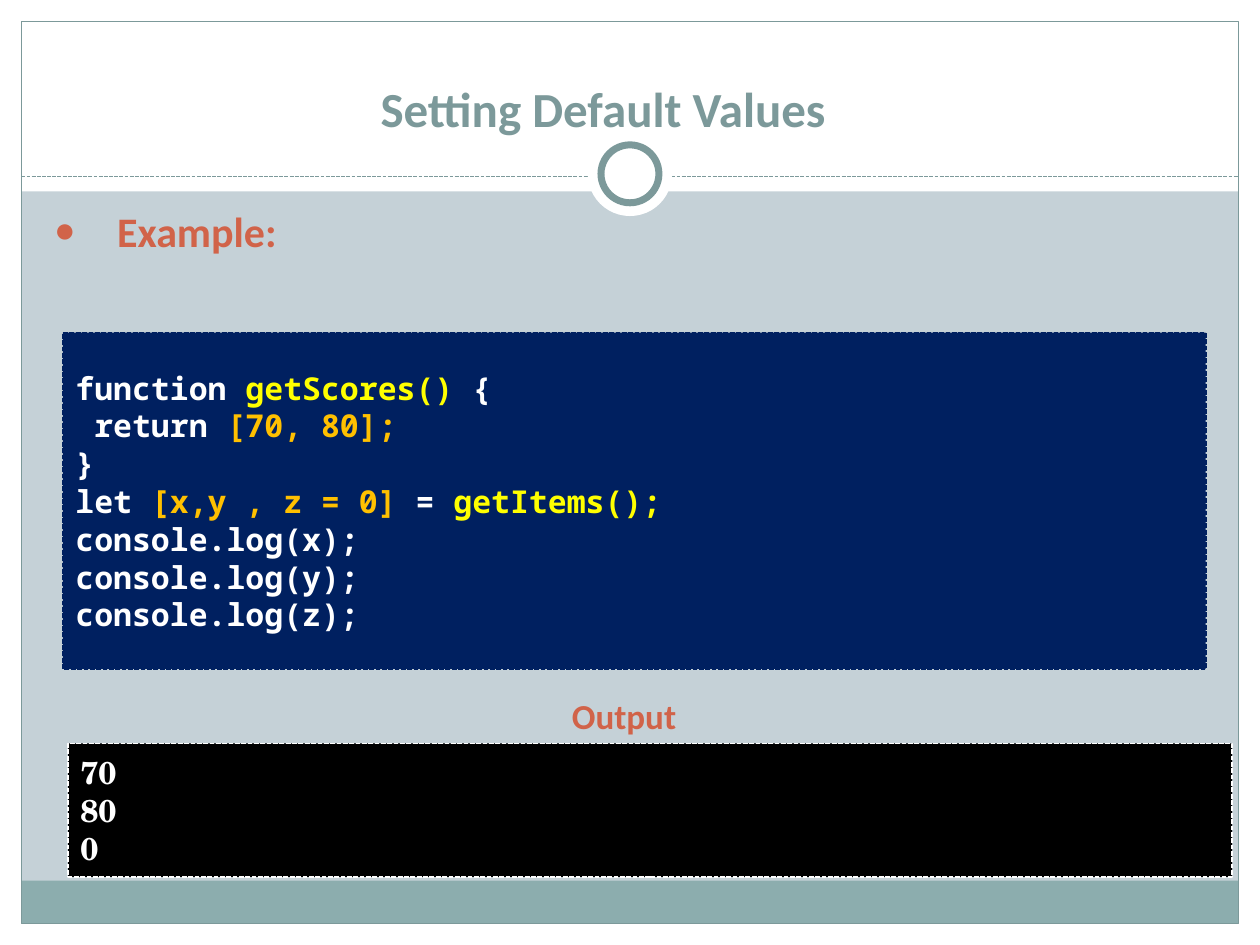
import pptx
import pptx.util
import pptx.dml.color
import pptx.enum.dml
import pptx.enum.shapes
import pptx.enum.text
import pptx.oxml
import pptx.oxml.ns
from lxml import etree

Inches, Pt = pptx.util.Inches, pptx.util.Pt
RGB = pptx.dml.color.RGBColor.from_string
KIND = pptx.enum.shapes.MSO_SHAPE
ALIGN = pptx.enum.text.PP_ALIGN
ANCHOR = pptx.enum.text.MSO_ANCHOR
FIT = pptx.enum.text.MSO_AUTO_SIZE
DASH = pptx.enum.dml.MSO_LINE.SQUARE_DOT
qn = pptx.oxml.ns.qn

# Content: each line is a list of (text, colour name)
TITLE = [[("Setting Default Values", "trim")]]
LEAD = [[("Example:", "accent")]]
CODE = [
    [("function ", "white"), ("getScores()", "yellow"), (" {", "white")],
    [(" return ", "white"), ("[70, 80];", "gold")],
    [("}", "white")],
    [("let ", "white"), ("[x,y , z = 0] ", "gold"), ("= ", "white"),
     ("getItems();", "yellow")],
    *[[(f"console.log({name});", "white")] for name in "xyz"],
]
LABEL = [[("Output", "accent")]]
RESULT = [[(value, "white")] for value in ("70", "80", "0")]

THEME = {
    "color": {"back": "C5D1D7", "trim": "7C999A", "foot": "8CADAE",
              "accent": "D16349", "navy": "002060", "black": "000000",
              "white": "FFFFFF", "yellow": "FFFF00", "gold": "FFC000"},
    "size": {"title": 28, "lead": 24, "label": 20, "code": 18},
    "font": {"main": "Calibri", "code": "Noto Sans Mono",
             "result": "TeX Gyre Schola"},
}
WIDE, HIGH, EDGE = 10, 7.5, 0.17
HEAD = 1.52


def tint(name):
    return RGB(THEME["color"][name])


def place(shape, left, top, width, height):
    shape.left, shape.top = Inches(left), Inches(top)
    shape.width, shape.height = Inches(width), Inches(height)


def write(shape, lines, size="code", font="main", align=ALIGN.LEFT,
          anchor=ANCHOR.TOP, wrap=True, fit=FIT.NONE, bullet=False):
    frame = shape.text_frame
    frame.word_wrap, frame.auto_size = wrap, fit
    frame.vertical_anchor = anchor
    for i, line in enumerate(lines):
        para = frame.add_paragraph() if i else frame.paragraphs[0]
        if bullet:
            mark(para)
        para.alignment, para.space_before = align, Pt(0)
        for text, color in line:
            run = para.add_run()
            run.text = text
            run.font.name = THEME["font"][font]
            run.font.size = Pt(THEME["size"][size])
            run.font.bold = True
            run.font.color.rgb = tint(color)


def mark(para):
    """Give a paragraph a hanging round bullet."""
    props = para._p.get_or_add_pPr()
    props.set("marL", str(Inches(0.5)))
    props.set("indent", str(Inches(-0.5)))
    color = etree.SubElement(props, qn("a:buClr"))
    etree.SubElement(color, qn("a:srgbClr"), val=THEME["color"]["accent"])
    etree.SubElement(props, qn("a:buSzPct"), val="85000")
    etree.SubElement(props, qn("a:buChar"), char="●")


def draw(shapes, box, fill=None, line=None, width=0.75, dash=None,
         kind=KIND.RECTANGLE):
    shape = shapes.add_shape(kind, *map(Inches, box))
    shape.shadow.inherit = False
    if fill:
        shape.fill.solid()
        shape.fill.fore_color.rgb = tint(fill)
    else:
        shape.fill.background()
    if line:
        shape.line.color.rgb = tint(line)
        shape.line.width = Pt(width)
        if dash:
            shape.line.dash_style = dash
    else:
        shape.line.fill.background()
    return shape


def disc(shapes, size, **style):
    """Draw a circle centred on the middle of the header rule."""
    box = ((WIDE - size) / 2, 1.38 - size / 2, size, size)
    draw(shapes, box, fill="white", kind=KIND.OVAL, **style)


def frame_page(shapes):
    # White margins and header
    for box in ((0, HIGH - EDGE, WIDE, EDGE), (0, 0, WIDE, HEAD),
                (0, 0, EDGE, HIGH), (WIDE - EDGE, 0, EDGE, HIGH)):
        draw(shapes, box, fill="white")
    # Footer band and border
    inner = WIDE - 2 * EDGE
    draw(shapes, (EDGE, 6.99, inner, 0.34), fill="foot")
    draw(shapes, (EDGE, EDGE, inner, HIGH - 2 * EDGE), line="trim")
    # Header rule
    rule = shapes.add_connector(
        pptx.enum.shapes.MSO_CONNECTOR.STRAIGHT,
        *map(Inches, (EDGE, 1.4, WIDE - EDGE, 1.4)))
    rule.line.color.rgb = tint("trim")
    rule.line.width = Pt(0.75)
    rule.line.dash_style = DASH
    etree.SubElement(rule.element.spPr, qn("a:effectLst"))
    # Ring on the rule
    disc(shapes, 0.67)
    disc(shapes, 0.46, line="trim", width=4)


def main():
    deck = pptx.Presentation()
    deck.slide_width, deck.slide_height = Inches(WIDE), Inches(HIGH)
    slide = deck.slides.add_slide(deck.slide_layouts[1])
    shapes = slide.shapes
    slide.background.fill.solid()
    slide.background.fill.fore_color.rgb = tint("back")
    frame_page(shapes)

    # Title and lead, raised above the page frame
    title, body = shapes.title, slide.placeholders[1]
    for holder in (title, body):
        holder.element.getparent().append(holder.element)
    place(title, 0.12, 0.31, 9.33, 0.83)
    write(title, TITLE, size="title", align=ALIGN.CENTER,
          anchor=ANCHOR.BOTTOM)
    place(body, 0.33, 1.58, 9.3, 5.31)
    write(body, LEAD, size="lead", bullet=True)

    # Code and its result
    panel = draw(shapes, (0.5, 2.64, 9.07, 2.67), fill="navy",
                 line="navy", width=0.9, dash=DASH)
    write(panel, CODE, font="code", anchor=ANCHOR.MIDDLE)
    screen = draw(shapes, (0.54, 5.9, 9.24, 1.06), fill="black",
                  line="white", width=0.9, dash=DASH)
    write(screen, RESULT, font="result", anchor=ANCHOR.MIDDLE)

    # Result label
    label = shapes.add_textbox(*map(Inches, (4.44, 5.46, 1.12, 0.44)))
    write(label, LABEL, size="label", wrap=False, fit=FIT.SHAPE_TO_FIT_TEXT)

    deck.save("out.pptx")


if __name__ == "__main__":
    main()
